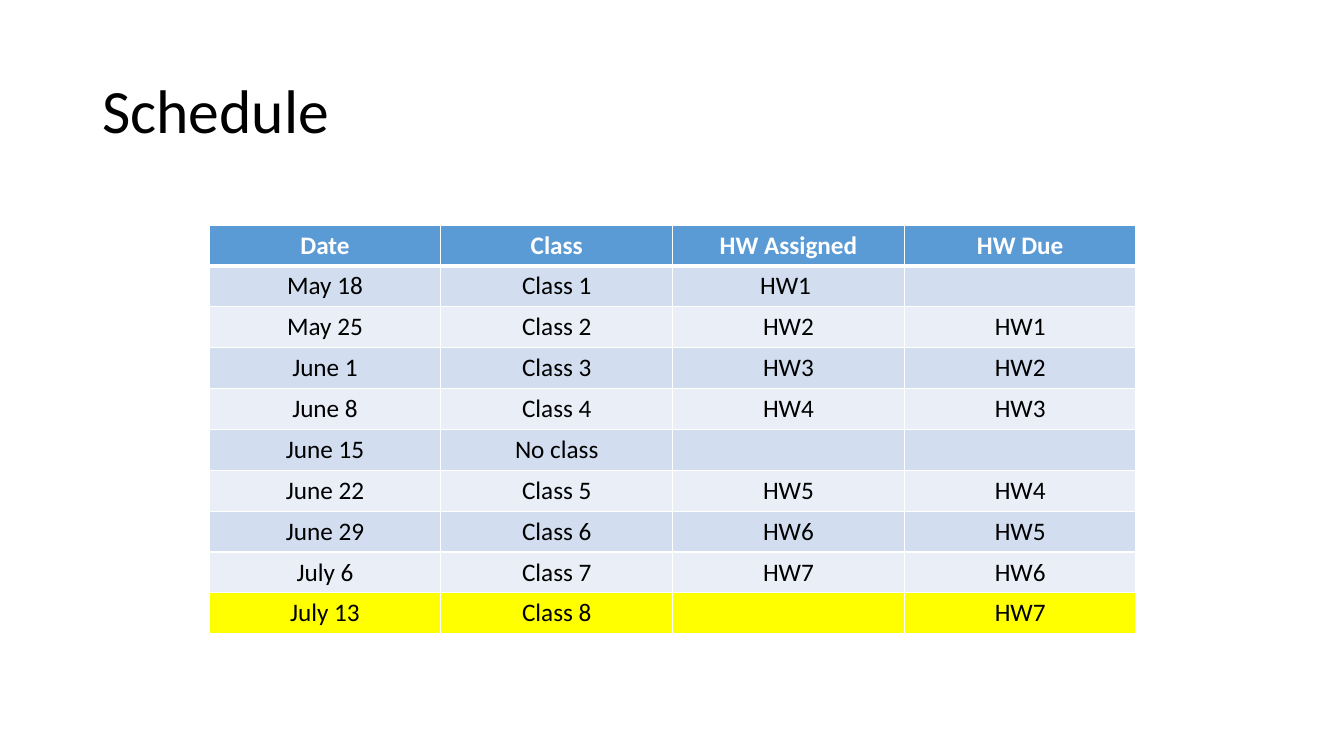
from lxml import etree
from pptx import Presentation
from pptx.dml.color import RGBColor
from pptx.enum.text import MSO_ANCHOR, PP_ALIGN
from pptx.oxml.ns import qn
from pptx.util import Cm, Pt

CENTER = PP_ALIGN.CENTER
MIDDLE = MSO_ANCHOR.MIDDLE

COLORS = {
    "text": "000000",
    "header_text": "FFFFFF",
    "border": "FFFFFF",
    "header": "5B9BD5",
    "odd": "D2DEEF",
    "even": "EAEFF7",
    "final": "FFFF00",
}
TITLE_FORMAT = {"name": "Calibri", "size": Pt(44), "bold": False}
HEADER_FORMAT = {"name": "Calibri", "size": Pt(18), "bold": True}
BODY_FORMAT = {"name": "Calibri", "size": Pt(18), "bold": False}

SCHEDULE = [
    ("Date", "Class", "HW Assigned", "HW Due"),
    ("May 18", "Class 1", "HW1 ", ""),
    ("May 25", "Class 2", "HW2", "HW1"),
    ("June 1", "Class 3", "HW3", "HW2"),
    ("June 8", "Class 4", "HW4", "HW3"),
    ("June 15", "No class", "", ""),
    ("June 22", "Class 5", "HW5", "HW4"),
    ("June 29", "Class 6", "HW6", "HW5"),
    ("July 6", "Class 7", "HW7", "HW6"),
    ("July 13", "Class 8", "", "HW7"),
]
COL_WIDTH, ROW_HEIGHT = Cm(5.84), Cm(1.03)


def set_font(font, values, color):
    for name, value in values.items():
        setattr(font, name, value)
    font.color.rgb = RGBColor.from_string(COLORS[color])


def set_border(cell, side, width):
    ln = etree.SubElement(cell._tc.get_or_add_tcPr(), qn(f"a:{side}"), w=str(Pt(width)))
    fill = etree.SubElement(ln, qn("a:solidFill"))
    etree.SubElement(fill, qn("a:srgbClr"), val=COLORS["border"])


prs = Presentation()
prs.slide_width, prs.slide_height = Cm(33.87), Cm(19.05)
s = prs.slides.add_slide(prs.slide_layouts[6])

# Title
tf = s.shapes.add_textbox(Cm(2.33), Cm(1.01), Cm(29.21), Cm(3.68)).text_frame
tf.word_wrap = True
tf.vertical_anchor = MIDDLE
p = tf.paragraphs[0]
p.line_spacing = 0.9
r = p.add_run()
r.text = "Schedule"
set_font(r.font, TITLE_FORMAT, "text")

# Schedule table
n_rows, n_cols = len(SCHEDULE), len(SCHEDULE[0])
table = s.shapes.add_table(n_rows, n_cols, Cm(5.27), Cm(5.67),
                           COL_WIDTH * n_cols, ROW_HEIGHT * n_rows).table
for col in table.columns:
    col.width = COL_WIDTH
for row in table.rows:
    row.height = ROW_HEIGHT

for i, entries in enumerate(SCHEDULE):
    if i == 0:
        fill_color = "header"
    elif i == n_rows - 1:
        fill_color = "final"
    else:
        fill_color = "odd" if i % 2 else "even"

    for j, text in enumerate(entries):
        cell = table.cell(i, j)
        # A thicker rule separates the header from the dates
        borders = {"lnL": 1, "lnR": 1, "lnT": 3 if i == 1 else 1, "lnB": 3 if i == 0 else 1}
        for side, width in borders.items():
            set_border(cell, side, width)
        cell.fill.solid()
        cell.fill.fore_color.rgb = RGBColor.from_string(COLORS[fill_color])

        p = cell.text_frame.paragraphs[0]
        p.alignment = CENTER
        if text:
            r = p.add_run()
            r.text = text
            if i == 0:
                set_font(r.font, HEADER_FORMAT, "header_text")
            else:
                set_font(r.font, BODY_FORMAT, "text")

prs.save("out.pptx")
